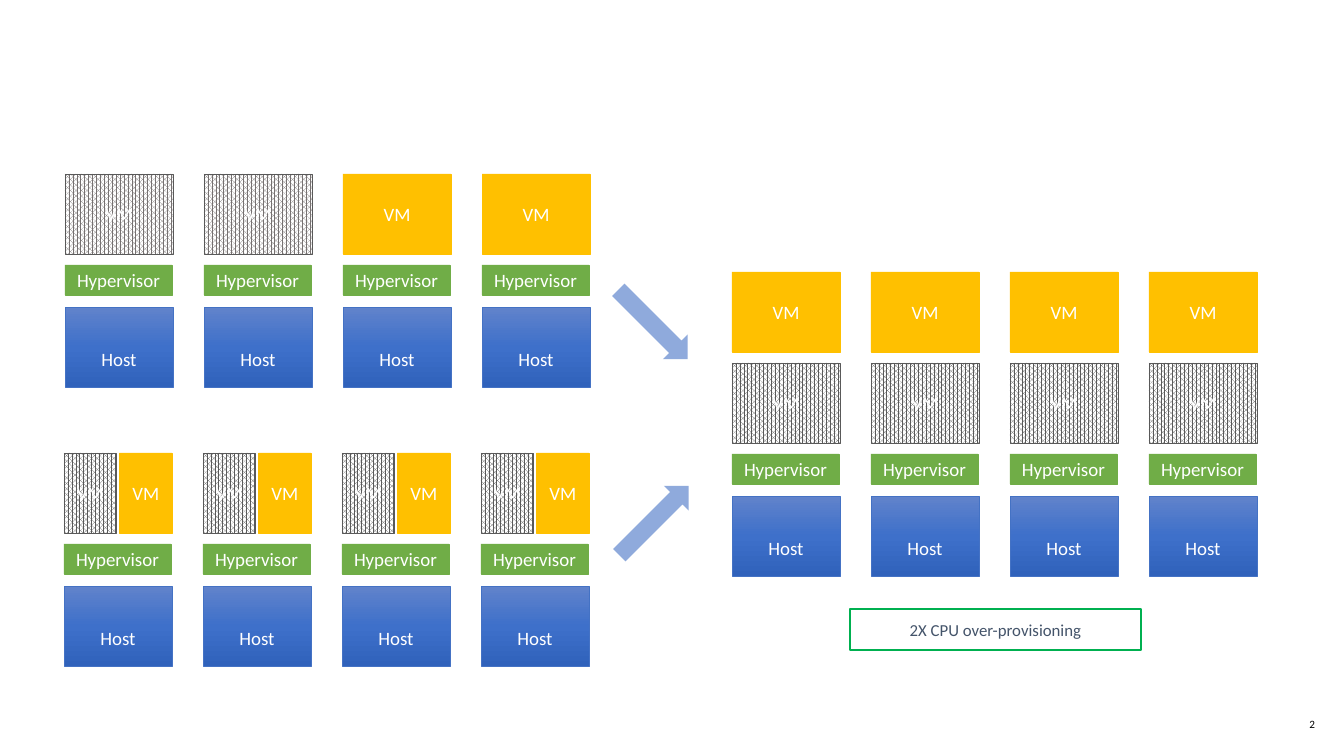
import copy

import pptx
import pptx.dml.color
import pptx.enum.dml
import pptx.enum.shapes
import pptx.enum.text
import pptx.oxml.ns
import pptx.util

RGB = pptx.dml.color.RGBColor
SHAPE = pptx.enum.shapes.MSO_SHAPE
ALIGN = pptx.enum.text.PP_ALIGN

WHITE = RGB(0xFF, 0xFF, 0xFF)
BLACK = RGB(0x00, 0x00, 0x00)
GREEN = RGB(0x70, 0xAD, 0x47)
GOLD = RGB(0xFF, 0xC0, 0x00)
BLUE = RGB(0x44, 0x72, 0xC4)
GREY = RGB(0x59, 0x59, 0x59)
WARM_GREY = RGB(0x76, 0x71, 0x71)
ARROW_BLUE = RGB(0x8F, 0xAA, 0xDC)
NOTE_GREEN = RGB(0x00, 0xB0, 0x50)
SLATE = RGB(0x44, 0x54, 0x6A)
HOST_STOPS = [(0, RGB(0x61, 0x83, 0xCB)), (0.5, RGB(0x3E, 0x70, 0xCA)),
              (1, RGB(0x30, 0x62, 0xBB))]

# Content: each host lists its VM rows, top to bottom; a row holds VMs side by side
CLUSTERS = [
    {"left": 65, "top": 174, "idle": WARM_GREY,
     "hosts": [[["idle"]], [["idle"]], [["busy"]], [["busy"]]]},
    {"left": 64, "top": 453, "idle": GREY, "hosts": [[["idle", "busy"]]] * 4},
    {"left": 732, "top": 272, "idle": GREY, "hosts": [[["busy"], ["idle"]]] * 4},
]
ARROWS = [(604, 307, 45), (605, 503, 315)]
NOTE = ("2X CPU over-provisioning", 850, 609, 291, 41)
SLIDE_NUMBER = ("2", 1267, 705, 48, 40)

# Sizes in px
PITCH, BOX_W, BOX_H, HYPER_H = 139, 108, 80, 30
ROW_GAP, HOST_GAP, VM_GAP = 11, 12, 3
INSET, HOST_TEXT_DROP = 5, 23


def px(n):
    return pptx.util.Emu(round(n * 914400 / 100.8))


prs = pptx.Presentation()
prs.slide_width, prs.slide_height = px(1344), px(756)
slide = prs.slides.add_slide(prs.slide_layouts[6])


def write(sp, text, size, color, align=ALIGN.CENTER, top=INSET, side=10, bottom=INSET):
    tf = sp.text_frame
    frame = {"word_wrap": True, "vertical_anchor": pptx.enum.text.MSO_ANCHOR.MIDDLE,
             "margin_top": px(top), "margin_bottom": px(bottom),
             "margin_left": px(side), "margin_right": px(side)}
    for name, value in frame.items():
        setattr(tf, name, value)
    p = tf.paragraphs[0]
    p.alignment = align
    r = p.add_run()
    r.text = text
    for name, value in {"name": "Calibri", "size": pptx.util.Pt(size)}.items():
        setattr(r.font, name, value)
    r.font.color.rgb = color
    return p


def add_box(x, y, w, h, fill=None, line=None, line_w=0.5, kind=SHAPE.RECTANGLE):
    sp = slide.shapes.add_shape(kind, px(x), px(y), px(w), px(h))
    sp.shadow.inherit = False
    if fill is None:
        sp.fill.background()
    else:
        sp.fill.solid()
        sp.fill.fore_color.rgb = fill
    if line is None:
        sp.line.fill.background()
    else:
        sp.line.color.rgb = line
        sp.line.width = pptx.util.Pt(line_w)
    return sp


def add_vm(x, y, w, state, idle_color):
    if state == "busy":
        sp = add_box(x, y, w, BOX_H, GOLD, GOLD)
    else:
        sp = add_box(x, y, w, BOX_H, line=GREY)
        sp.fill.patterned()
        sp.fill.pattern = pptx.enum.dml.MSO_PATTERN.PERCENT_75
        sp.fill.fore_color.rgb = idle_color
        sp.fill.back_color.rgb = WHITE
    write(sp, "VM", 13.5, WHITE)


def add_host(x, y):
    sp = add_box(x, y, BOX_W, BOX_H, line=BLUE)
    sp.fill.gradient()
    sp.fill.gradient_angle = 270
    stops = sp._element.spPr.find(".//" + pptx.oxml.ns.qn("a:gsLst"))
    stops.append(copy.deepcopy(stops[-1]))
    for stop, (position, color) in zip(sp.fill.gradient_stops, HOST_STOPS):
        stop.position = position
        stop.color.rgb = color
    write(sp, "Host", 13.5, WHITE, top=INSET + HOST_TEXT_DROP)


# Host stacks
for cluster in CLUSTERS:
    for col, rows in enumerate(cluster["hosts"]):
        x, y = cluster["left"] + col * PITCH, cluster["top"]
        for row in rows:
            vm_w = (BOX_W - VM_GAP * (len(row) - 1)) / len(row)
            for i, state in enumerate(row):
                add_vm(x + i * (vm_w + VM_GAP), y, vm_w, state, cluster["idle"])
            y += BOX_H + ROW_GAP
        sp = add_box(x, y, BOX_W - 1, HYPER_H, GREEN, GREEN)
        write(sp, "Hypervisor", 13.5, WHITE)
        add_host(x, y + HYPER_H + HOST_GAP)

# Arrows to the consolidated cluster
for x, y, angle in ARROWS:
    add_box(x, y, 98, 35, ARROW_BLUE, kind=SHAPE.RIGHT_ARROW).rotation = angle

# Note
text, *place = NOTE
p = write(add_box(*place, line=NOTE_GREEN, line_w=1.25), text, 12, SLATE)
p.space_after = pptx.util.Pt(6)

# Slide number
text, *place = SLIDE_NUMBER
sp = slide.shapes.add_textbox(*map(px, place))
p = write(sp, text, 8, BLACK, ALIGN.RIGHT, top=0, side=0, bottom=0)
p.line_spacing = 0.9

prs.save("out.pptx")
